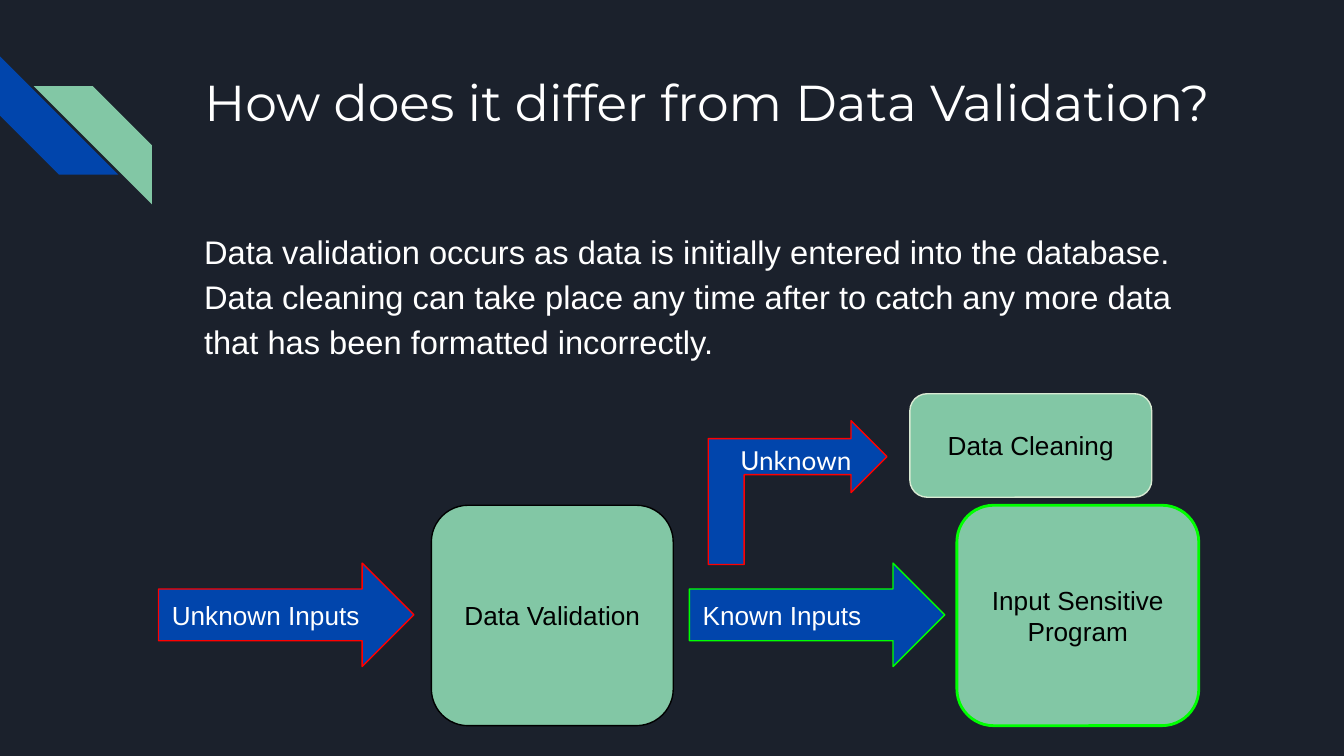
import pptx
import pptx.dml.color
import pptx.enum.shapes
import pptx.enum.text
import pptx.oxml.ns
import pptx.util

Inches = pptx.util.Inches
Pt = pptx.util.Pt
SHAPE = pptx.enum.shapes.MSO_SHAPE
ALIGN = pptx.enum.text.PP_ALIGN
ANCHOR = pptx.enum.text.MSO_ANCHOR

THEME = {
    "background": "1B212C", "blue": "0145AC", "green": "82C7A5",
    "white": "FFFFFF", "black": "000000", "pale": "D9EAD3",
    "unknown": "FF0000", "known": "00FF00",
    "title_size": 27, "body_size": 17.5, "label_size": 14,
}


def color(name):
    return pptx.dml.color.RGBColor.from_string(THEME[name])


def write(box, text, size, ink, font="Arial", align=ALIGN.LEFT, anchor=ANCHOR.TOP):
    """Put one formatted paragraph in a box and return the paragraph."""
    frame = box.text_frame
    frame.text = text
    frame.word_wrap = True
    frame.auto_size = pptx.enum.text.MSO_AUTO_SIZE.NONE
    frame.vertical_anchor = anchor
    frame.margin_left = frame.margin_right = Inches(0.1)
    frame.margin_top = frame.margin_bottom = Inches(0.1)
    para = frame.paragraphs[0]
    para.alignment = align
    span = para.runs[0]
    span.font.name = font
    span.font.size = Pt(THEME[size])
    span.font.color.rgb = color(ink)
    return para


deck = pptx.Presentation()
deck.slide_width = Inches(10)
deck.slide_height = Inches(10 * 9 / 16)
page = deck.slides.add_slide(deck.slide_layouts[5])
page.background.fill.solid()
page.background.fill.fore_color.rgb = color("background")


def add_figure(kind, place, fill, line=None, width=0.75, flip=False):
    """Add a flat preset shape, with an outline if a line colour is given."""
    figure = page.shapes.add_shape(kind, *[Inches(length) for length in place])
    figure.shadow.inherit = False
    figure.fill.solid()
    figure.fill.fore_color.rgb = color(fill)
    if line:
        figure.line.color.rgb = color(line)
        figure.line.width = Pt(width)
    else:
        figure.line.fill.background()
    if flip:
        figure._element.spPr.find(pptx.oxml.ns.qn("a:xfrm")).set("flipH", "1")
    return figure


# Corner stripes
blue_stripe = add_figure(SHAPE.DIAGONAL_STRIPE, (0, 0.42, 0.88, 0.88), "blue")
blue_stripe.rotation = 270
add_figure(SHAPE.DIAGONAL_STRIPE, (0.25, 0.64, 0.88, 0.88), "green", flip=True)

# Title and explanation
title = page.shapes.title
title.left, title.top = Inches(1.42), Inches(0.43)
title.width, title.height = Inches(7.7), Inches(1)
write(title, "How does it differ from Data Validation?", "title_size", "white", "Montserrat")

body = page.shapes.add_textbox(Inches(1.42), Inches(1.58), Inches(7.7), Inches(1.64))
explanation = write(
    body,
    "Data validation occurs as data is initially entered into the database. "
    "Data cleaning can take place any time after to catch any more data "
    "that has been formatted incorrectly.",
    "body_size", "white")
explanation.line_spacing = 1.15

# Stages: label, left, top, height, outline colour, outline width
stages = [
    ("Data Validation", 3.21, 3.76, 1.64, "black", 0.75),
    ("Input Sensitive Program", 7.12, 3.76, 1.64, "known", 1.5),
    ("Data Cleaning", 6.77, 2.93, 0.77, "pale", 0.75),
]
for label, left, top, height, outline, width in stages:
    stage = add_figure(SHAPE.ROUNDED_RECTANGLE, (left, top, 1.8, height),
                       "green", outline, width)
    write(stage, label, "label_size", "black", align=ALIGN.CENTER, anchor=ANCHOR.MIDDLE)

# Straight arrows between the stages
for label, left, outline in [("Unknown Inputs", 1.18, "unknown"),
                             ("Known Inputs", 5.13, "known")]:
    arrow = add_figure(SHAPE.RIGHT_ARROW, (left, 4.19, 1.9, 0.77), "blue", outline)
    write(arrow, label, "label_size", "white", anchor=ANCHOR.MIDDLE)

# Bent arrow up to data cleaning
bent_arrow = add_figure(SHAPE.BENT_UP_ARROW, (5.4, 3, 1.07, 1.33),
                        "blue", "unknown", flip=True)
bent_arrow.rotation = 90
bent_label = page.shapes.add_textbox(Inches(5.41), Inches(3.21), Inches(1.04), Inches(0.44))
write(bent_label, "Unknown", "label_size", "white", "Lato")

deck.save("out.pptx")
